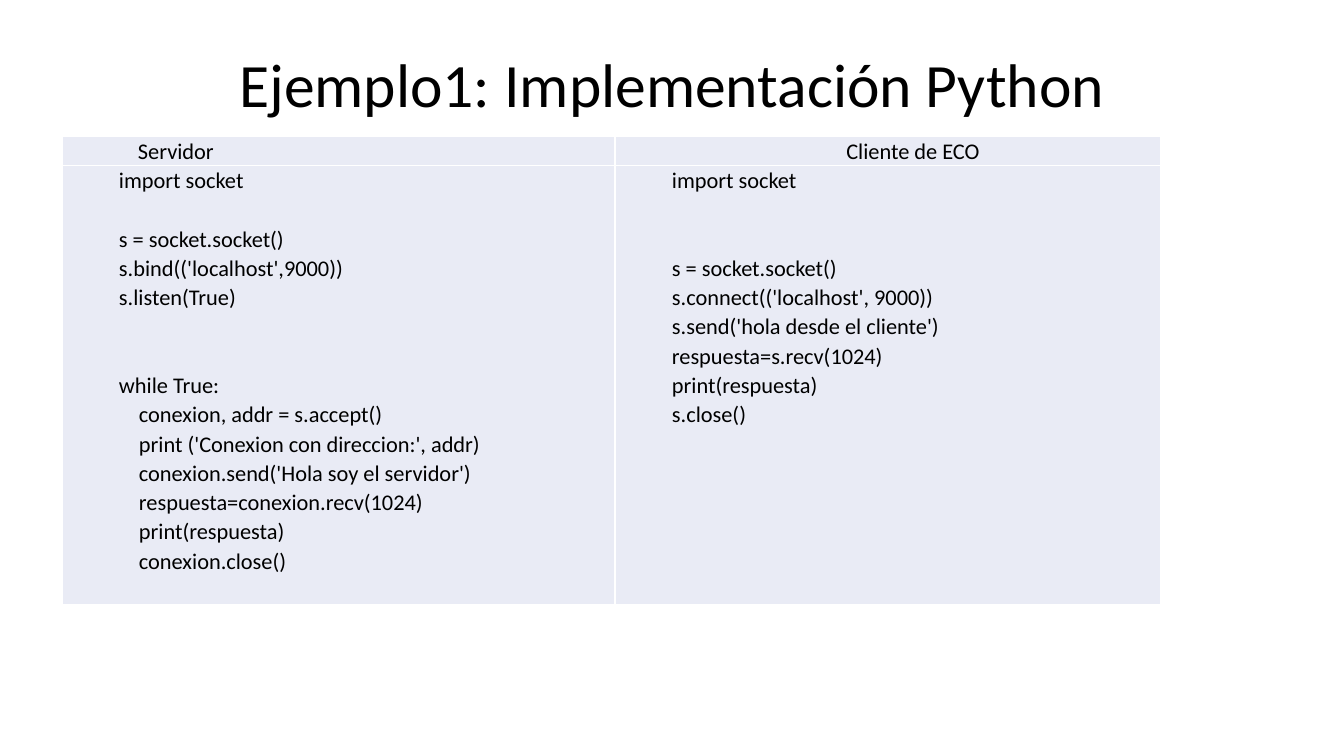
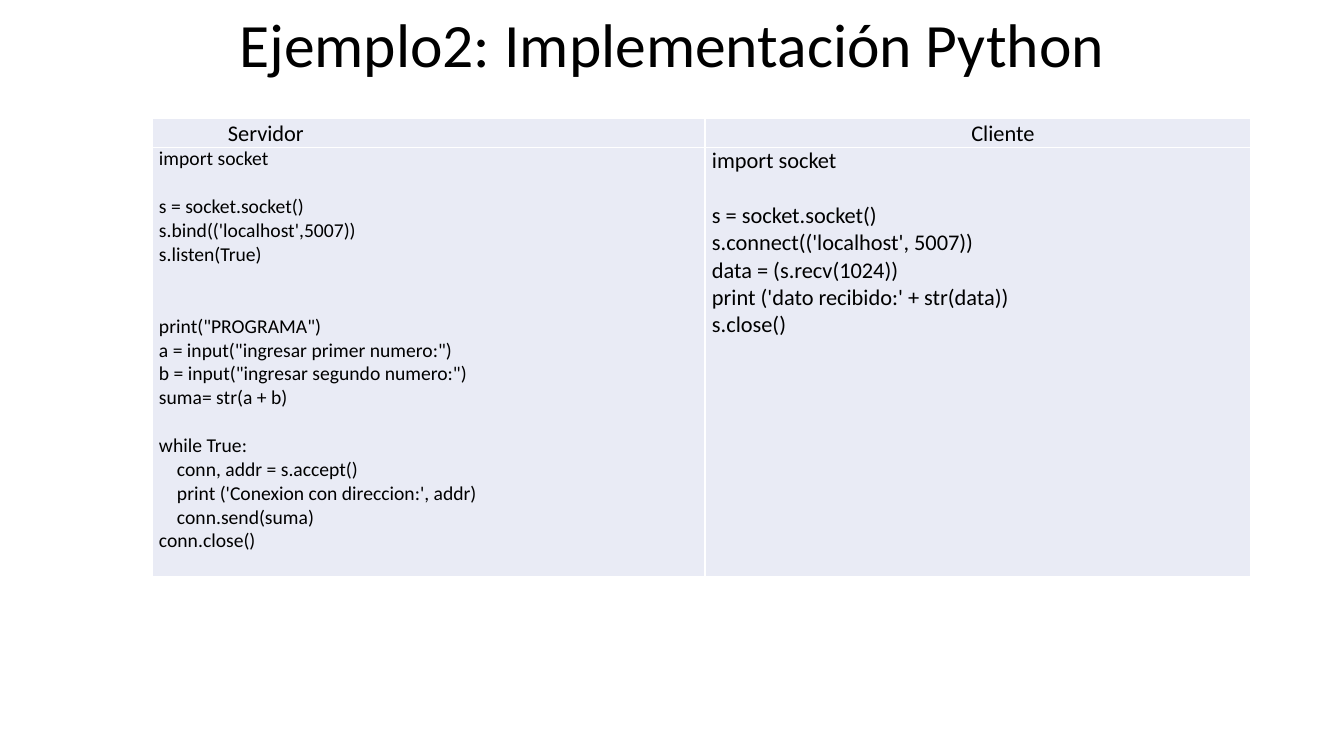
"""Build two slides that compare socket server and client code in Python."""
import pptx
import pptx.util
import pptx.dml.color
import pptx.enum.text
import pptx.oxml
import pptx.oxml.ns

BLACK = pptx.dml.color.RGBColor(0, 0, 0)
PALE = pptx.dml.color.RGBColor(0xE9, 0xEB, 0xF5)
WHITE = pptx.dml.color.RGBColor(255, 255, 255)
FONT = "Calibri"
ALIGN = pptx.enum.text.PP_ALIGN
MIDDLE = pptx.enum.text.MSO_ANCHOR.MIDDLE
SCALE = 914400 / 100.8
COLS = (553, 546)
HEAD = 28
TITLE = (93, 1159, 96)

# Each code line holds its text, its indent level and the lines of space above it.
SLIDES = [
    {
        "title": "Ejemplo1: Implementación Python", "top": 40,
        "at": (62, 136), "body": 439,
        "heads": ("Servidor", "Cliente de ECO"),
        "sizes": (16, 16), "indent": 50, "leading": 1.07,
        "code": (
            [
                ("import socket", 0, 0),
                ("s = socket.socket()", 0, 1),
                ("s.bind(('localhost',9000))", 0, 0),
                ("s.listen(True)", 0, 0),
                ("while True:", 0, 2),
                ("conexion, addr = s.accept()", 1, 0),
                ("print ('Conexion con direccion:', addr)", 1, 0),
                ("conexion.send('Hola soy el servidor')", 1, 0),
                ("respuesta=conexion.recv(1024)", 1, 0),
                ("print(respuesta)", 1, 0),
                ("conexion.close()", 1, 0),
            ],
            [
                ("import socket", 0, 0),
                ("s = socket.socket()", 0, 2),
                ("s.connect(('localhost', 9000))", 0, 0),
                ("s.send('hola desde el cliente')", 0, 0),
                ("respuesta=s.recv(1024)", 0, 0),
                ("print(respuesta)", 0, 0),
                ("s.close()", 0, 0),
            ],
        ),
    },
    {
        "title": "Ejemplo2: Implementación Python", "top": 0,
        "at": (152, 118), "body": 429,
        "heads": ("Servidor", "Cliente"),
        "sizes": (14, 16), "indent": 0, "leading": 1.0,
        "code": (
            [
                ("import socket", 0, 0),
                ("s = socket.socket()", 0, 1),
                ("s.bind(('localhost',5007))", 0, 0),
                ("s.listen(True)", 0, 0),
                ('print("PROGRAMA")', 0, 2),
                ('a = input("ingresar primer numero:")', 0, 0),
                ('b = input("ingresar segundo numero:")', 0, 0),
                ("suma= str(a + b)", 0, 0),
                ("while True:", 0, 1),
                ("conn, addr = s.accept()", 1, 0),
                ("print ('Conexion con direccion:', addr)", 1, 0),
                ("conn.send(suma)", 1, 0),
                ("conn.close()", 0, 0),
            ],
            [
                ("import socket", 0, 0),
                ("s = socket.socket()", 0, 1),
                ("s.connect(('localhost', 5007))", 0, 0),
                ("data = (s.recv(1024))", 0, 0),
                ("print ('dato recibido:' + str(data))", 0, 0),
                ("s.close()", 0, 0),
            ],
        ),
    },
]


def px(n):
    return pptx.util.Emu(round(n * SCALE))


def put(item, **values):
    for name, value in values.items():
        setattr(item, name, value)


def write(para, text, size, left=0, **form):
    para.text = text
    put(para, **form)
    put(para.font, name=FONT, size=pptx.util.Pt(size))
    para.font.color.rgb = BLACK
    if left:
        props = para._p.get_or_add_pPr()
        props.set("marL", str(px(left)))
        props.set("indent", "0")


def dress(cell, side):
    put(cell, margin_left=px(side), margin_right=px(side),
        margin_top=0, margin_bottom=0)
    props = cell._tc.get_or_add_tcPr()
    for edge in ("lnL", "lnR", "lnT", "lnB"):
        props.append(pptx.oxml.parse_xml(
            f'<a:{edge} {pptx.oxml.ns.nsdecls("a")} w="12700"><a:solidFill>'
            f'<a:srgbClr val="{WHITE}"/></a:solidFill></a:{edge}>'))
    cell.fill.solid()
    cell.fill.fore_color.rgb = PALE


def add_title(slide, text, top):
    left, width, height = TITLE
    title = slide.shapes.title
    put(title, left=px(left), top=px(top), width=px(width), height=px(height))
    put(title.text_frame, vertical_anchor=MIDDLE, word_wrap=True)
    write(title.text_frame.paragraphs[0], text, 44,
          alignment=ALIGN.CENTER, line_spacing=0.9)


def add_code(cell, lines, size, indent, leading):
    pitch = size * 1.22 * leading
    frame = cell.text_frame
    for i, (text, level, gap) in enumerate(lines):
        para = frame.add_paragraph() if i else frame.paragraphs[0]
        write(para, text, size, indent + level * round(size * 1.27),
              line_spacing=leading,
              space_before=pptx.util.Pt(round(gap * pitch, 1)))


def add_grid(slide, data):
    left, top = data["at"]
    heights = (HEAD, data["body"])
    frame = slide.shapes.add_table(2, 2, px(left), px(top),
                                   px(sum(COLS)), px(sum(heights)))
    table = frame.table
    put(table, first_row=False, horz_banding=False)
    for row, height in zip(table.rows, heights):
        row.height = px(height)
    forms = ((71, ALIGN.LEFT), (50, ALIGN.CENTER))
    for c, (indent, align) in enumerate(forms):
        table.columns[c].width = px(COLS[c])
        head, body = table.cell(0, c), table.cell(1, c)
        dress(head, 5)
        dress(body, 7)
        write(head.text_frame.paragraphs[0], data["heads"][c], 16, indent,
              alignment=align, line_spacing=1.07)
        add_code(body, data["code"][c], data["sizes"][c],
                 data["indent"], data["leading"])


def main():
    deck = pptx.Presentation()
    put(deck, slide_width=px(1344), slide_height=px(756))
    for data in SLIDES:
        slide = deck.slides.add_slide(deck.slide_layouts[5])
        add_title(slide, data["title"], data["top"])
        add_grid(slide, data)
    deck.save("out.pptx")


main()
